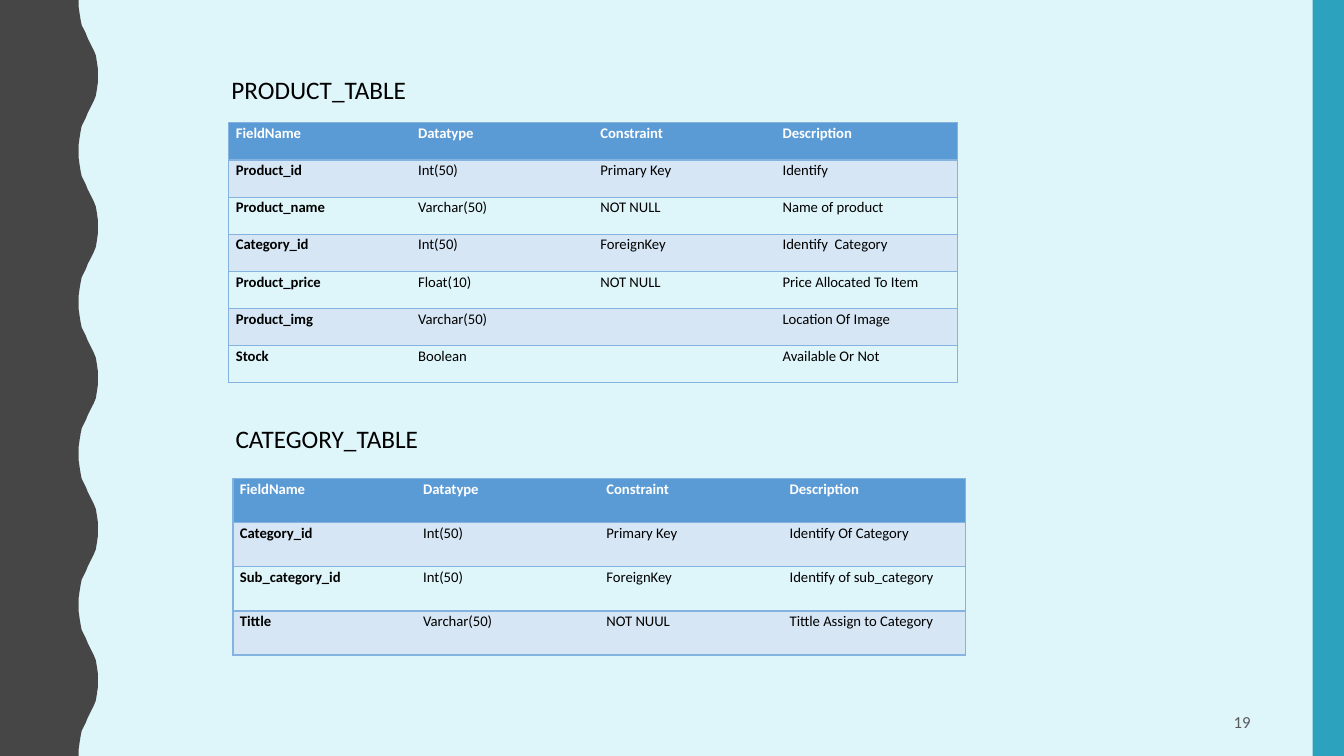
from dataclasses import dataclass

from lxml import etree
from pptx import Presentation
from pptx.dml.color import RGBColor
from pptx.enum.shapes import MSO_SHAPE
from pptx.enum.text import MSO_ANCHOR, MSO_AUTO_SIZE, PP_ALIGN
from pptx.oxml.ns import qn
from pptx.util import Inches, Pt

RECT = MSO_SHAPE.RECTANGLE
MIDDLE = MSO_ANCHOR.MIDDLE
GROW = MSO_AUTO_SIZE.SHAPE_TO_FIT_TEXT
RIGHT = PP_ALIGN.RIGHT

W, H = Inches(13.33), Inches(7.5)
WAVES = 5
HALF_WAVE = [(0, 0.78), (0.07, 0.78), (0.14, 0.79), (0.2, 0.8), (0.25, 0.81),
             (0.29, 0.83), (0.33, 0.85), (0.38, 0.87), (0.42, 0.89), (0.46, 0.91),
             (0.5, 0.93), (0.55, 0.95), (0.61, 0.96), (0.68, 0.97), (0.75, 0.97)]


@dataclass(frozen=True)
class Theme:
    font: str = "Calibri"
    background: str = "DEF5FA"
    wave: str = "464646"
    strip: str = "2DA2BF"
    header: str = "5B9BD5"
    band: str = "D6E6F4"
    border: str = "84B3DF"
    text: str = "000000"
    header_text: str = "FFFFFF"
    muted: str = "595959"
    title_size: float = 18
    cell_size: float = 10.5
    number_size: float = 12


THEME = Theme()
HEADER = ("FieldName", "Datatype", "Constraint", "Description")
PRODUCT_ROWS = [
    HEADER,
    ("Product_id", "Int(50)", "Primary Key", "Identify"),
    ("Product_name", "Varchar(50)", "NOT NULL", "Name of product"),
    ("Category_id", "Int(50)", "ForeignKey", "Identify  Category"),
    ("Product_price", "Float(10)", "NOT NULL", "Price Allocated To Item"),
    ("Product_img", "Varchar(50)", "", "Location Of Image"),
    ("Stock", "Boolean", "", "Available Or Not"),
]
CATEGORY_ROWS = [
    HEADER,
    ("Category_id", "Int(50)", "Primary Key", "Identify Of Category"),
    ("Sub_category_id", "Int(50)", "ForeignKey", "Identify of sub_category"),
    ("Tittle", "Varchar(50)", "NOT NUUL", "Tittle Assign to Category"),
]


def share(x, y, w, h):
    return int(W * x / 100), int(H * y / 100), int(W * w / 100), int(H * h / 100)


def paint(shape, color):
    shape.shadow.inherit = False
    shape.fill.solid()
    shape.fill.fore_color.rgb = RGBColor.from_string(color)
    shape.line.fill.background()


def style_text(tf, size, color, bold=False):
    for p in tf.paragraphs:
        for r in p.runs:
            r.font.name = THEME.font
            r.font.size = Pt(size)
            r.font.bold = bold
            r.font.color.rgb = RGBColor.from_string(color)


def add_text(s, box, text, size, color):
    tf = s.shapes.add_textbox(*box).text_frame
    tf.text = text
    style_text(tf, size, color)
    return tf


def add_wave(s, box):
    left, top, width, height = box
    period = height / WAVES
    crest = HALF_WAVE[-1][1]
    wave = HALF_WAVE + [(1.5 - y, x) for y, x in HALF_WAVE[-2::-1]]
    edge = [(left + x / crest * width, top + (n + y / 1.5) * period)
            for n in range(WAVES) for y, x in wave]
    builder = s.shapes.build_freeform(left, top)
    builder.add_line_segments(edge + [(left, top + height)], close=True)
    paint(builder.convert_to_shape(), THEME.wave)


def add_strip(s, box):
    paint(s.shapes.add_shape(RECT, *box), THEME.strip)


def set_borders(cell, visible):
    tc_pr = cell._tc.get_or_add_tcPr()
    for side in "LRTB":
        ln = etree.SubElement(tc_pr, qn(f"a:ln{side}"), w=str(Pt(1)))
        if side in visible:
            fill = etree.SubElement(ln, qn("a:solidFill"))
            etree.SubElement(fill, qn("a:srgbClr"), val=THEME.border)
        else:
            etree.SubElement(ln, qn("a:noFill"))


def fill_cell(cell, text, row, col):
    cell.margin_left = cell.margin_right = Inches(0.07)
    cell.margin_top = cell.margin_bottom = 0
    cell.text = text
    cell.text_frame.paragraphs[0].line_spacing = 1.1
    color = THEME.text if row else THEME.header_text
    style_text(cell.text_frame, THEME.cell_size, color, row == 0 or col == 0)
    set_borders(cell, "TB" + {0: "L", len(HEADER) - 1: "R"}.get(col, ""))
    if row and row % 2 == 0:
        cell.fill.background()
    else:
        cell.fill.solid()
        cell.fill.fore_color.rgb = RGBColor.from_string(THEME.band if row else THEME.header)


def add_schema(s, box, title, rows, table_share):
    left, top, width, height = box
    title_box = (left - width // 100, top, int(width * 0.28), int(H * 0.05))
    tf = add_text(s, title_box, title, THEME.title_size, THEME.text)
    tf.word_wrap = False
    tf.auto_size = GROW
    table_height = int(height * table_share)
    table_top = top + height - table_height
    table = s.shapes.add_table(len(rows), len(HEADER), left, table_top,
                               width, table_height).table
    for column in table.columns:
        column.width = width // len(HEADER)
    for i, values in enumerate(rows):
        table.rows[i].height = table_height // len(rows)
        for j, text in enumerate(values):
            fill_cell(table.cell(i, j), text, i, j)


def add_number(s, box, number):
    tf = add_text(s, box, number, THEME.number_size, THEME.muted)
    tf.word_wrap = True
    tf.vertical_anchor = MIDDLE
    tf.paragraphs[0].alignment = RIGHT


def main():
    prs = Presentation()
    prs.slide_width, prs.slide_height = W, H
    s = prs.slides.add_slide(prs.slide_layouts[6])
    s.background.fill.solid()
    s.background.fill.fore_color.rgb = RGBColor.from_string(THEME.background)
    add_wave(s, share(0, 0, 7.28, 100))
    add_strip(s, share(97.67, 0, 2.33, 100))
    add_schema(s, share(17.03, 9.2, 54.24, 41.47), "PRODUCT_TABLE", PRODUCT_ROWS, 0.83)
    add_schema(s, share(17.33, 55.33, 54.54, 31.33), "CATEGORY_TABLE", CATEGORY_ROWS, 0.745)
    add_number(s, share(70.67, 92.93, 23.11, 5.07), "19")
    prs.save("out.pptx")


if __name__ == "__main__":
    main()
